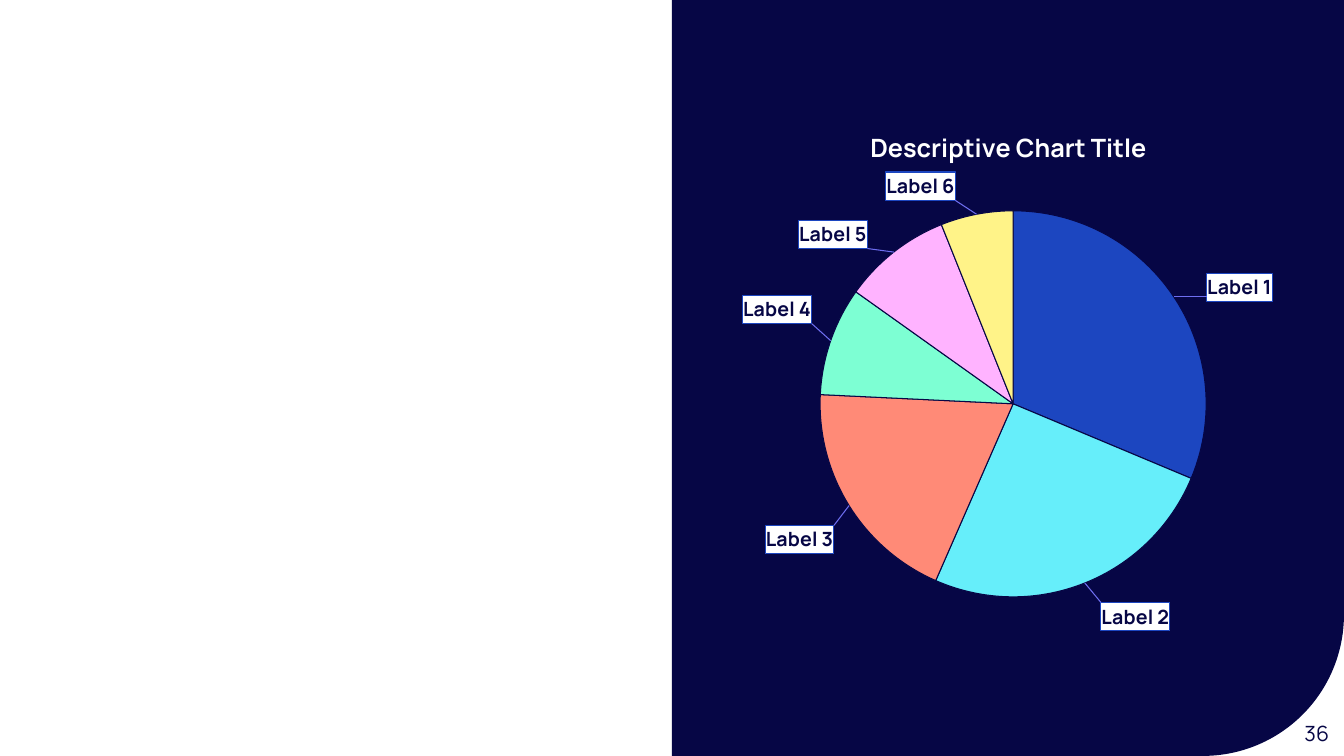
from lxml.etree import SubElement
from pptx import Presentation
from pptx.chart.data import CategoryChartData
from pptx.dml.color import RGBColor
from pptx.enum.chart import XL_CHART_TYPE as ChartType
from pptx.enum.shapes import MSO_SHAPE as Shape
from pptx.enum.text import PP_ALIGN as Align
from pptx.oxml import parse_xml
from pptx.oxml.ns import nsdecls, qn
from pptx.util import Pt

PX = 914400 / 100.8
FONT = "Manrope"
COLORS = {"navy": "060645", "white": "FFFFFF", "blue": "1C46C0", "leader": "6E6EF0"}

CHART_BOX = (687, 98, 634, 540)
PIE_BOX = (820, 211, 386, 386)
TITLE_AT = (866, 123)

# label, value, slice colour, label shift in px from the rim of the pie
SLICES = [
    ("Label 1", 31, "1C46C0", (28, 8)),
    ("Label 2", 25, "66EEFA", (14, 14)),
    ("Label 3", 19, "FF8A77", (-10, 17)),
    ("Label 4", 9, "7DFFD3", (-13, -15)),
    ("Label 5", 9, "FFB3FF", (-23, 1)),
    ("Label 6", 6, "FFF388", (-20, -8)),
]


def emu(*lengths):
    return [round(length * PX) for length in lengths]


def rgb(name):
    return RGBColor.from_string(COLORS.get(name, name))


def format_font(font, color, **values):
    for name, value in {"name": FONT, **values}.items():
        setattr(font, name, value)
    font.color.rgb = rgb(color)


def add_panel(page, box, radius):
    """Add the dark panel with its bottom right corner rounded."""
    panel = page.shapes.add_shape(Shape.ROUND_1_RECTANGLE, *emu(*box))
    panel.shadow.inherit = False
    panel.adjustments[0] = radius
    panel.fill.solid()
    panel.fill.fore_color.rgb = rgb("navy")
    panel.line.fill.background()
    panel._element.spPr.find(qn("a:xfrm")).set("flipV", "1")


def add_page_number(page, box, text):
    frame = page.shapes.add_textbox(*emu(*box)).text_frame
    frame.word_wrap = True
    para = frame.paragraphs[0]
    para.alignment = Align.RIGHT
    span = para.add_run()
    span.text = text
    format_font(span.font, "navy", size=Pt(15))


def layout_xml(**values):
    """Build a manual chart layout from its child values, in schema order."""
    parts = "".join(f'<c:{name} val="{value}"/>' for name, value in values.items())
    return f"<c:layout {nsdecls('c')}><c:manualLayout>{parts}</c:manualLayout></c:layout>"


def chart_share(x, y):
    return round(x / CHART_BOX[2], 3), round(y / CHART_BOX[3], 3)


def replace_layout(parent, xml, index):
    old = parent.find(qn("c:layout"))
    if old is not None:
        parent.remove(old)
    parent.insert(index, parse_xml(xml))


def label_look(fill, line):
    return (
        f'<c:spPr><a:solidFill><a:srgbClr val="{fill}"/></a:solidFill>'
        f'<a:ln w="9525"><a:solidFill><a:srgbClr val="{line}"/></a:solidFill></a:ln></c:spPr>'
        '<c:txPr><a:bodyPr/><a:p><a:pPr><a:defRPr sz="1400" b="1"><a:solidFill>'
        f'<a:srgbClr val="{COLORS["navy"]}"/></a:solidFill><a:latin typeface="{FONT}"/>'
        '</a:defRPr></a:pPr><a:endParaRPr lang="en-US"/></a:p></c:txPr>'
        '<c:dLblPos val="outEnd"/><c:showLegendKey val="0"/><c:showVal val="0"/>'
        '<c:showCatName val="1"/><c:showSerName val="0"/><c:showPercent val="0"/>'
        '<c:showBubbleSize val="0"/>'
    )


def add_labels(series):
    look = label_look(COLORS["white"], COLORS["blue"])
    labels = ""
    for index, (_, _, _, shift) in enumerate(SLICES):
        x, y = chart_share(*shift)
        labels += f'<c:dLbl><c:idx val="{index}"/>{layout_xml(x=x, y=y)}{look}</c:dLbl>'
    xml = (
        f'<c:dLbls {nsdecls("c", "a")}>{labels}{look}<c:showLeaderLines val="1"/>'
        '<c:leaderLines><c:spPr><a:ln w="9525"><a:solidFill>'
        f'<a:srgbClr val="{COLORS["leader"]}"/></a:solidFill></a:ln></c:spPr>'
        "</c:leaderLines></c:dLbls>"
    )
    series._element.find(qn("c:cat")).addprevious(parse_xml(xml))


def color_slices(series):
    for index, (_, _, color, _) in enumerate(SLICES):
        look = series.points[index].format
        look.fill.solid()
        look.fill.fore_color.rgb = rgb(color)
        look.line.color.rgb = rgb("navy")
        look.line.width = Pt(0.75)


def add_title(chart, text):
    chart.has_title = True
    title = chart.chart_title
    para = title.text_frame.paragraphs[0]
    span = para.add_run()
    span.text = text
    format_font(span.font, "white", size=Pt(18), bold=True)
    x, y = chart_share(TITLE_AT[0] - CHART_BOX[0], TITLE_AT[1] - CHART_BOX[1])
    replace_layout(title._element, layout_xml(xMode="edge", yMode="edge", x=x, y=y), 1)


def add_pie(page, title):
    data = CategoryChartData()
    data.categories = [label for label, *_ in SLICES]
    data.add_series("Series 1", [value for _, value, *_ in SLICES])
    chart = page.shapes.add_chart(ChartType.PIE, *emu(*CHART_BOX), data).chart
    format_font(chart.font, "navy", size=Pt(10))
    chart.has_legend = False
    add_title(chart, title)

    plot = chart.plots[0]
    plot.vary_by_categories = True
    color_slices(plot.series[0])
    add_labels(plot.series[0])

    x, y = chart_share(PIE_BOX[0] - CHART_BOX[0], PIE_BOX[1] - CHART_BOX[1])
    w, h = chart_share(*PIE_BOX[2:])
    area = layout_xml(layoutTarget="inner", xMode="edge", yMode="edge", x=x, y=y, w=w, h=h)
    replace_layout(chart._chartSpace.chart.plotArea, area, 0)


def main():
    deck = Presentation()
    deck.slide_width, deck.slide_height = emu(1344, 756)
    page = deck.slides.add_slide(deck.slide_layouts[6])
    add_panel(page, (672, 0, 672, 756), 0.21)
    add_page_number(page, (1269, 716, 70, 35), "36")
    add_pie(page, "Descriptive Chart Title")
    deck.save("out.pptx")


if __name__ == "__main__":
    main()
